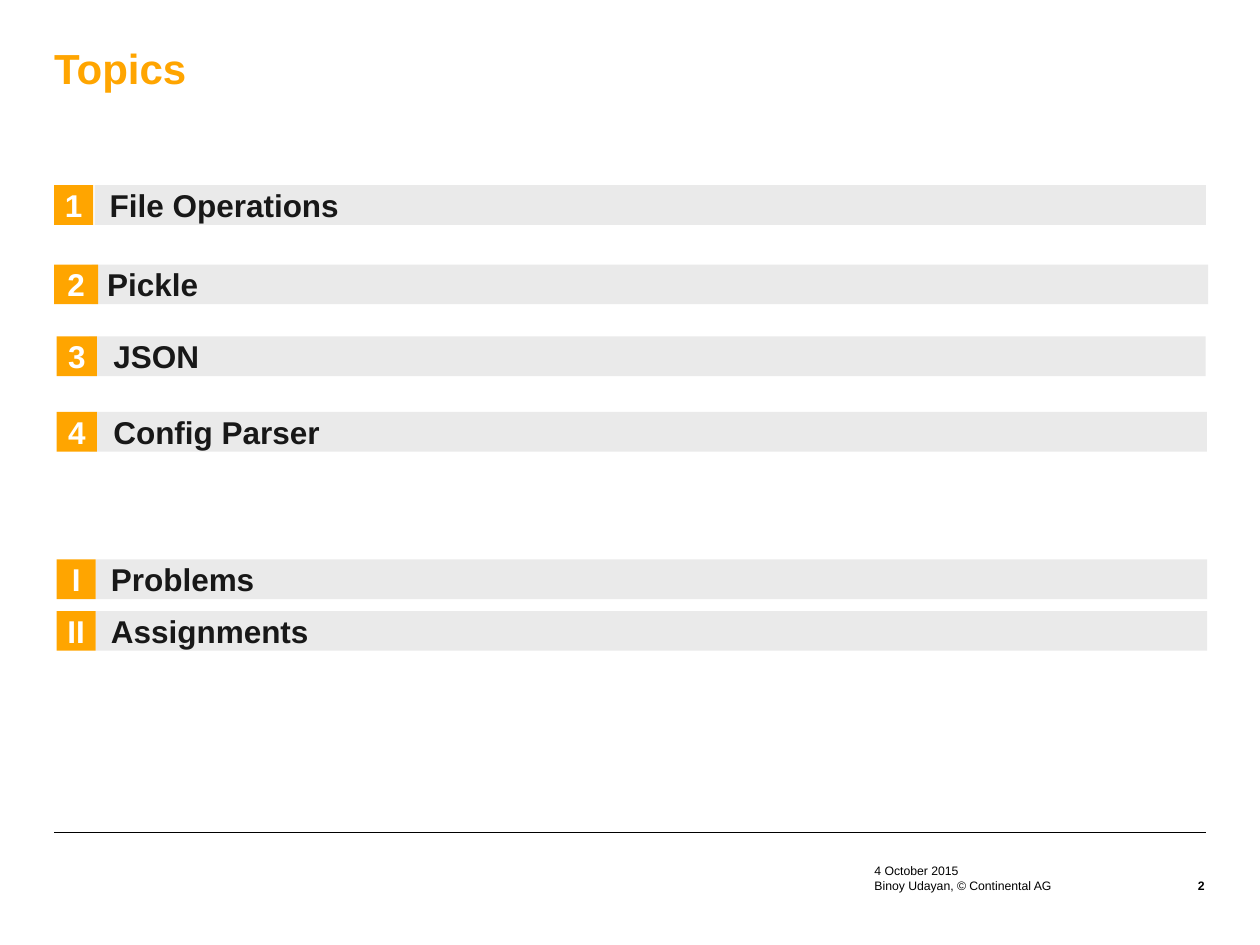
from lxml.etree import SubElement
from pptx import Presentation
from pptx.dml.color import RGBColor
from pptx.enum.shapes import MSO_CONNECTOR as Connector, MSO_SHAPE as Shape
from pptx.enum.text import MSO_ANCHOR as Anchor, PP_ALIGN as Align
from pptx.oxml.ns import qn
from pptx.util import Inches, Pt

ORANGE, GRAY, INK, BLACK, WHITE = "FFA500", "EAEAEA", "181818", "000000", "FFFFFF"

presentation = Presentation()
presentation.slide_width = Inches(10)
presentation.slide_height = Inches(7.5)
slide = presentation.slides.add_slide(presentation.slide_layouts[6])
column = presentation.slide_width / 100
row = presentation.slide_height / 100


def color(value):
    return RGBColor.from_string(value)


def add_text(text, left, top, width, height, size, ink, fill=None, bold=True,
             anchor=Anchor.MIDDLE, align=Align.LEFT, insets=(0, 0, 0, 0)):
    box = [round(left * column), round(top * row), round(width * column), round(height * row)]
    if fill:
        shape = slide.shapes.add_shape(Shape.RECTANGLE, *box)
        shape.shadow.inherit = False
        shape.fill.solid()
        shape.fill.fore_color.rgb = color(fill)
        shape.line.fill.background()
    else:
        shape = slide.shapes.add_textbox(*box)
    frame = shape.text_frame
    frame.text = text
    frame.word_wrap = True
    frame.vertical_anchor = anchor
    (frame.margin_left, frame.margin_top,
     frame.margin_right, frame.margin_bottom) = [round(inset * column) for inset in insets]
    paragraph = frame.paragraphs[0]
    paragraph.alignment = align
    font = paragraph.runs[0].font
    font.name, font.size, font.bold = "Arial", Pt(size), bold
    font.color.rgb = color(ink)
    return paragraph


rule_top = round(88.13 * row)
rule = slide.shapes.add_connector(
    Connector.STRAIGHT, round(4.3 * column), rule_top, round(95.7 * column), rule_top)
rule.line.color.rgb = color(BLACK)
rule.line.width = Pt(0.35)
SubElement(rule._element.spPr, qn("a:effectLst"))

title = add_text("Topics", 4.3, 4.27, 91.4, 10.53, 24, ORANGE,
                 anchor=Anchor.BOTTOM, insets=(0, 0, 1, 3.6))
title.line_spacing = 0.95

topics = [
    ("1", "File Operations", 19.6, 4.3, 3.1, 7.5, 95.7, 1.2),
    ("2", "Pickle", 28, 4.3, 3.5, 7.3, 95.9, 1.2),
    ("3", "JSON", 35.6, 4.5, 3.2, 7.1, 95.7, 1.9),
    ("4", "Config Parser", 43.6, 4.5, 3.2, 7.1, 95.8, 1.9),
    ("I", "Problems", 59.2, 4.5, 3.1, 7.6, 95.8, 1.2),
    ("II", "Assignments", 64.67, 4.5, 3.1, 7.6, 95.8, 1.2),
]
for number, topic, top, tile_left, tile_width, bar_left, bar_right, inset in topics:
    add_text(topic, bar_left, top, bar_right - bar_left, 4.2, 18, INK, GRAY,
             insets=(inset, 0.4, 0.8, 0.4))
    add_text(number, tile_left, top, tile_width, 4.2, 18, WHITE, ORANGE,
             align=Align.CENTER, insets=(0.4, 0.4, 0.4, 0.4))

add_text("4 October 2015", 69.4, 90.8, 21.9, 2.13, 7, BLACK, bold=False, anchor=Anchor.BOTTOM)
add_text("Binoy Udayan, © Continental AG", 69.4, 92.93, 21.9, 2.13, 7, BLACK,
         bold=False, anchor=Anchor.TOP)
add_text("2", 91.7, 92.93, 3.9, 2.13, 7, BLACK, anchor=Anchor.TOP, align=Align.RIGHT)

presentation.save("out.pptx")
